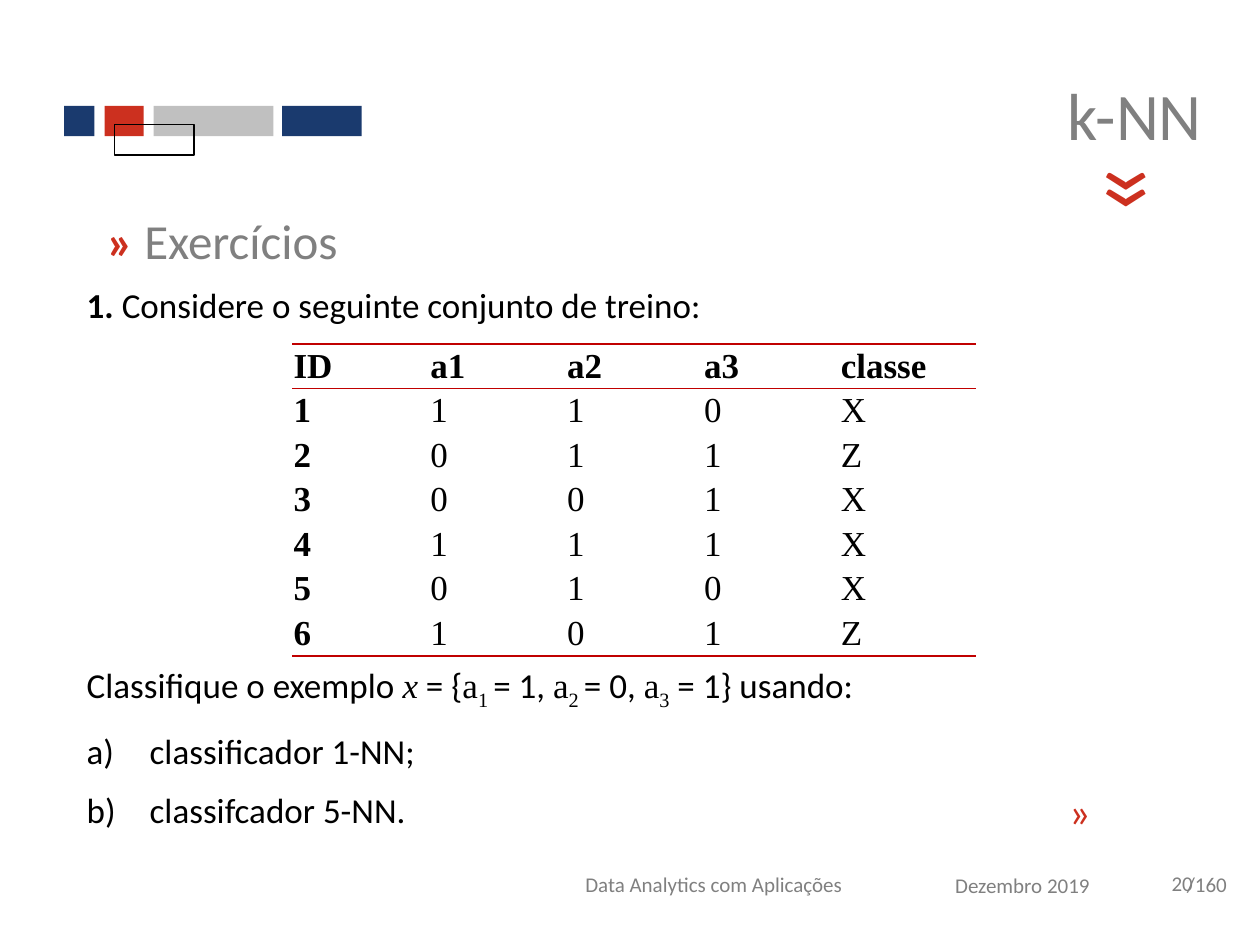
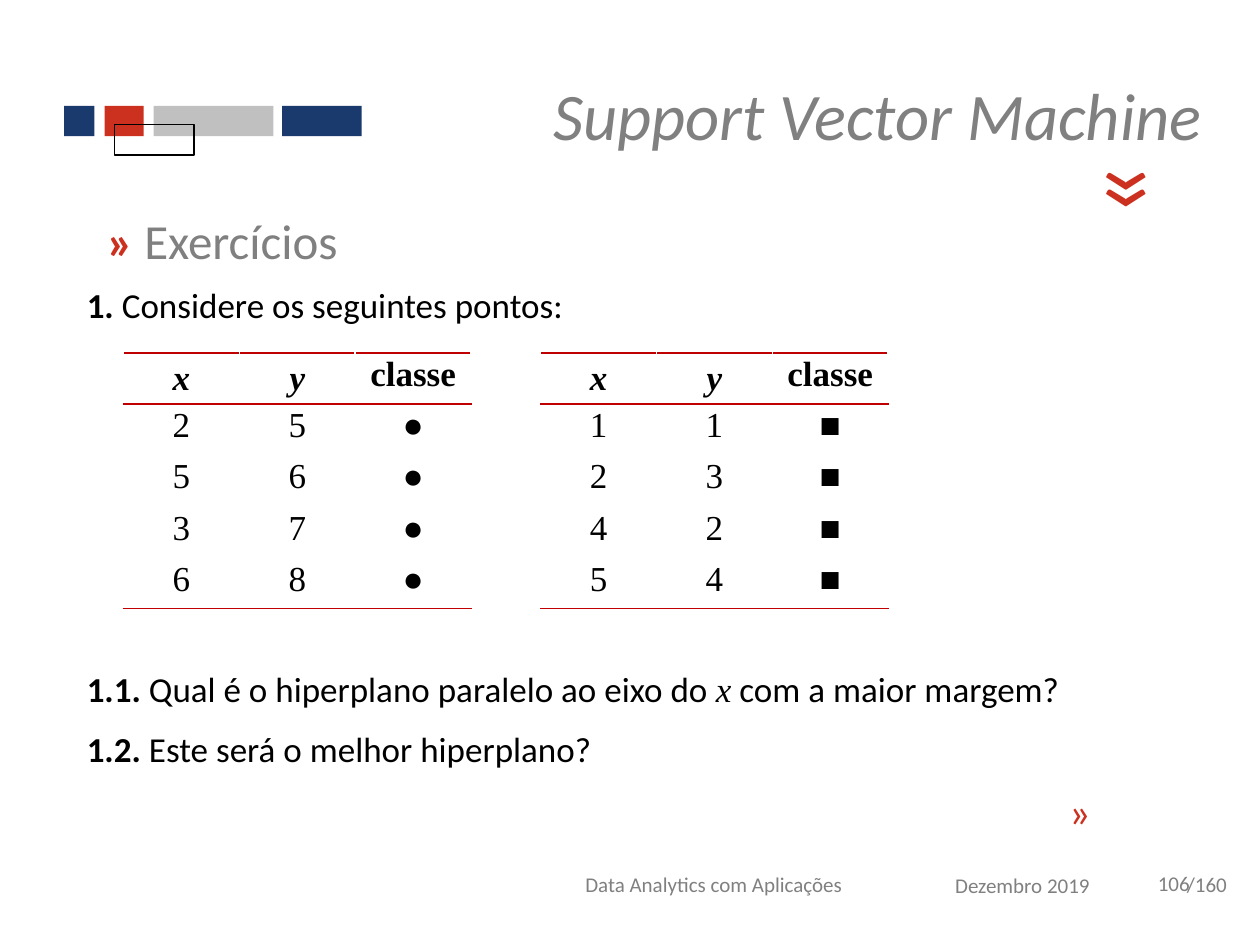
from lxml import etree
from pptx import Presentation
from pptx.dml.color import RGBColor
from pptx.enum import shapes, text
from pptx.oxml import ns
from pptx.util import Inches, Pt

COLORS = {"navy": "1A3A6E", "red": "CC301F", "silver": "C0C0C0", "gray": "808080",
          "black": "000000", "rule": "C00000", "white": "FFFFFF"}
BODY = {"name": "Calibri", "size": Pt(20), "color": "black"}
MATH = {**BODY, "name": "Times New Roman"}
SMALL = {"name": "Calibri", "size": Pt(12), "color": "gray"}
STYLES = {
    "title": {**SMALL, "size": Pt(38)},
    "heading": {**SMALL, "size": Pt(28)},
    "mark": {**SMALL, "size": Pt(28), "color": "red", "bold": True},
    "small chevron": {**SMALL, "size": Pt(24), "color": "red"},
    "large chevron": {**SMALL, "size": Pt(60), "color": "red"},
    "footer": SMALL,
    "body": BODY,
    "strong": {**BODY, "bold": True},
    "math": MATH,
    "variable": {**MATH, "italic": True},
    "header": {**MATH, "bold": True},
    "variable header": {**MATH, "bold": True, "italic": True},
    "subscript": {**MATH, "baseline": "-25000"},
}
LEFT, CENTER, RIGHT = text.PP_ALIGN.LEFT, text.PP_ALIGN.CENTER, text.PP_ALIGN.RIGHT
TOP, MIDDLE = text.MSO_ANCHOR.TOP, text.MSO_ANCHOR.MIDDLE


def inches(*lengths):
    """Convert several lengths."""
    return [Inches(length) for length in lengths]


def add_run(paragraph, words, style):
    """Add a run formatted with a named style."""
    run = paragraph.add_run()
    run.text = words
    for attribute, value in STYLES[style].items():
        if attribute == "color":
            run.font.color.rgb = RGBColor.from_string(COLORS[value])
        elif attribute == "baseline":
            run._r.get_or_add_rPr().set("baseline", value)
        else:
            setattr(run.font, attribute, value)


def write(frame, paragraphs, align=LEFT):
    """Fill a text frame with paragraphs given as lists of runs."""
    for index, runs in enumerate(paragraphs):
        paragraph = frame.add_paragraph() if index else frame.paragraphs[0]
        paragraph.alignment = align
        if index:
            paragraph.space_before = Pt(10)
        for words, style in runs:
            add_run(paragraph, words, style)


def add_text(slide, box, paragraphs, align=LEFT, anchor=TOP, rotation=0):
    """Add a wrapped text box."""
    shape = slide.shapes.add_textbox(*inches(*box))
    shape.rotation = rotation
    shape.text_frame.word_wrap = True
    shape.text_frame.vertical_anchor = anchor
    write(shape.text_frame, paragraphs, align)
    return shape


def number_by_letter(paragraph):
    """Number a paragraph as a), b) with a hanging indent."""
    properties = paragraph._p.get_or_add_pPr()
    properties.set("marL", str(Inches(0.5)))
    properties.set("indent", str(-Inches(0.5)))
    etree.SubElement(properties, ns.qn("a:buFont"), typeface="+mj-lt")
    etree.SubElement(properties, ns.qn("a:buAutoNum"), type="alphaLcParenR")


def add_band(slide, box):
    """Draw the coloured blocks and the outlined block."""
    left, top, height = box
    blocks = [(0, 0, 0.24, "navy"), (0.32, 0, 0.31, "red"), (0.71, 0, 0.95, "silver"),
              (1.73, 0, 0.63, "navy"), (0.4, 0.15, 0.63, None)]
    for across, down, width, color in blocks:
        block = slide.shapes.add_shape(shapes.MSO_SHAPE.RECTANGLE,
                                       *inches(left + across, top + down, width, height))
        block.shadow.inherit = False
        if color:
            block.fill.solid()
            block.fill.fore_color.rgb = RGBColor.from_string(COLORS[color])
            block.line.fill.background()
        else:
            block.fill.background()
            block.line.color.rgb = RGBColor.from_string(COLORS["black"])
            block.line.width = Pt(0.75)


def add_footer(slide, box, page, page_left):
    """Add course, date, page count and page number."""
    left, top, height = box
    add_text(slide, (left, top, 3.07, height),
             [[("Data Analytics com Aplicações", "footer")]], CENTER, MIDDLE)
    add_text(slide, (left + 3.07, top + 0.01, 1.83, height),
             [[("Dezembro 2019", "footer")]], CENTER, MIDDLE)
    total = add_text(slide, (left + 4.93, top, 0.94, height),
                     [[("/160", "footer")]], anchor=MIDDLE)
    total.text_frame.margin_left = Inches(0.36)
    add_text(slide, (page_left, top + 0.12, 9.64 - page_left, 0.3), [[(page, "footer")]])


def add_title(slide, box, words, italic):
    """Place and format the title placeholder."""
    title = slide.shapes.title
    title.left, title.top, title.width, title.height = inches(*box)
    frame = title.text_frame
    frame.auto_size = text.MSO_AUTO_SIZE.NONE
    frame.vertical_anchor = MIDDLE
    write(frame, [[(words, "title")]], RIGHT)
    frame.paragraphs[0].runs[0].font.italic = italic


def add_exercise_slide(presentation, title, page, page_left, italic=False):
    """Add a slide with everything that the exercises share."""
    slide = presentation.slides.add_slide(presentation.slide_layouts[5])
    add_band(slide, (0.51, 0.84, 0.24))
    add_title(slide, (3.03, 0.44, 6.61, 0.93), title, italic)
    add_footer(slide, (4.13, 6.74, 0.55), page, page_left)
    add_text(slide, (8.25, 6.28, 0.51, 0.5), [[("«", "small chevron")]], rotation=180)
    add_text(slide, (8.54, 1, 0.55, 1.1), [[("«", "large chevron")]], rotation=270)
    add_text(slide, (0.75, 1.62, 8.43, 0.57),
             [[("» ", "mark"), ("Exercícios", "heading")]])
    return slide


def set_borders(cell, colors):
    """Set the left, right, top and bottom borders of a cell."""
    properties = cell._tc.get_or_add_tcPr()
    for index, (side, color) in enumerate(zip("LRTB", colors)):
        line = etree.Element(ns.qn(f"a:ln{side}"), w=str(Pt(1)))
        if color:
            fill = etree.SubElement(line, ns.qn("a:solidFill"))
            etree.SubElement(fill, ns.qn("a:srgbClr"), val=COLORS[color])
        else:
            etree.SubElement(line, ns.qn("a:noFill"))
        properties.insert(index, line)


def add_ruled_table(slide, box, rows, style_of, align, anchor_of, inset, inner=None):
    """Add a table ruled above and below its header and at its foot."""
    last = len(rows) - 1
    table = slide.shapes.add_table(len(rows), len(rows[0]), *inches(*box)).table
    table.horz_banding = table.first_row = False
    for row, values in enumerate(rows):
        for column, value in enumerate(values):
            cell = table.cell(row, column)
            cell.fill.background()
            above = "rule" if row in (0, 1) else inner
            below = "rule" if row in (0, last) else inner
            set_borders(cell, (inner, inner, above, below))
            for side in ("left", "right", "top", "bottom"):
                setattr(cell, f"margin_{side}", Inches(inset))
            cell.vertical_anchor = anchor_of(row, column)
            write(cell.text_frame, [[(value, style_of(row, column))]], align)


def add_training_table(slide, box):
    """Add the training set with its bold header and first column."""
    records = ["110X", "011Z", "001X", "111X", "010X", "101Z"]
    rows = [["ID", "a1", "a2", "a3", "classe"]]
    rows += [[str(number), *record] for number, record in enumerate(records, 1)]
    add_ruled_table(slide, box, rows,
                    lambda row, column: "math" if row and column else "header",
                    LEFT, lambda row, column: MIDDLE, 0.01)


def add_points_table(slide, box, points, symbol):
    """Add the points of one class, marked with its symbol."""
    rows = [["x", "y", "classe"]] + [[*point, symbol] for point in points]

    def style_of(row, column):
        """Pick the style of a cell."""
        if row:
            return "math"
        return "header" if column == 2 else "variable header"

    add_ruled_table(slide, box, rows, style_of, CENTER,
                    lambda row, column: MIDDLE if row == 0 and column < 2 else TOP,
                    0.02, "white")


def add_neighbours_slide(presentation):
    """Build the nearest neighbours exercise."""
    slide = add_exercise_slide(presentation, "k-NN", "20", 9.2)
    add_training_table(slide, (2.32, 2.73, 5.43, 2.41))
    example = [("Classifique o exemplo ", "body"), ("x", "variable"), (" = {", "body")]
    for index, ending in [("1 ", "= 1, "), ("2 ", "= 0, "), ("3", " = 1} usando:")]:
        example += [("a", "math"), (index, "subscript"), (ending, "body")]
    question = add_text(slide, (0.59, 5.22, 8.9, 1.45), [
        example, [("classificador 1-NN;", "body")], [("classifcador 5-NN.", "body")]])
    for paragraph in question.text_frame.paragraphs[1:]:
        number_by_letter(paragraph)
    add_text(slide, (0.59, 2.2, 8.9, 0.44),
             [[("1. ", "strong"), ("Considere o seguinte conjunto de treino:", "body")]])


def add_vectors_slide(presentation):
    """Build the support vector exercise."""
    slide = add_exercise_slide(presentation, "Support Vector Machine", "106", 9.09, True)
    add_text(slide, (0.59, 2.2, 8.98, 0.44),
             [[("1. ", "strong"), ("Considere os seguintes pontos:", "body")]])
    classes = [(0.98, ["25", "56", "37", "68"], "●"), (4.29, ["11", "23", "42", "54"], "■")]
    for left, points, symbol in classes:
        add_points_table(slide, (left, 2.8, 2.76, 2.03), points, symbol)
    add_text(slide, (0.59, 5.25, 8.98, 0.94), [
        [("1.1.", "strong"), (" Qual é o hiperplano paralelo ao eixo do ", "body"),
         ("x", "variable"), (" com a maior margem?", "body")],
        [("1.2.", "strong"), (" Este será o melhor hiperplano?", "body")]])


def main():
    """Build and save the presentation."""
    presentation = Presentation()
    presentation.slide_width, presentation.slide_height = inches(10, 7.5)
    add_neighbours_slide(presentation)
    add_vectors_slide(presentation)
    presentation.save("out.pptx")


if __name__ == "__main__":
    main()
